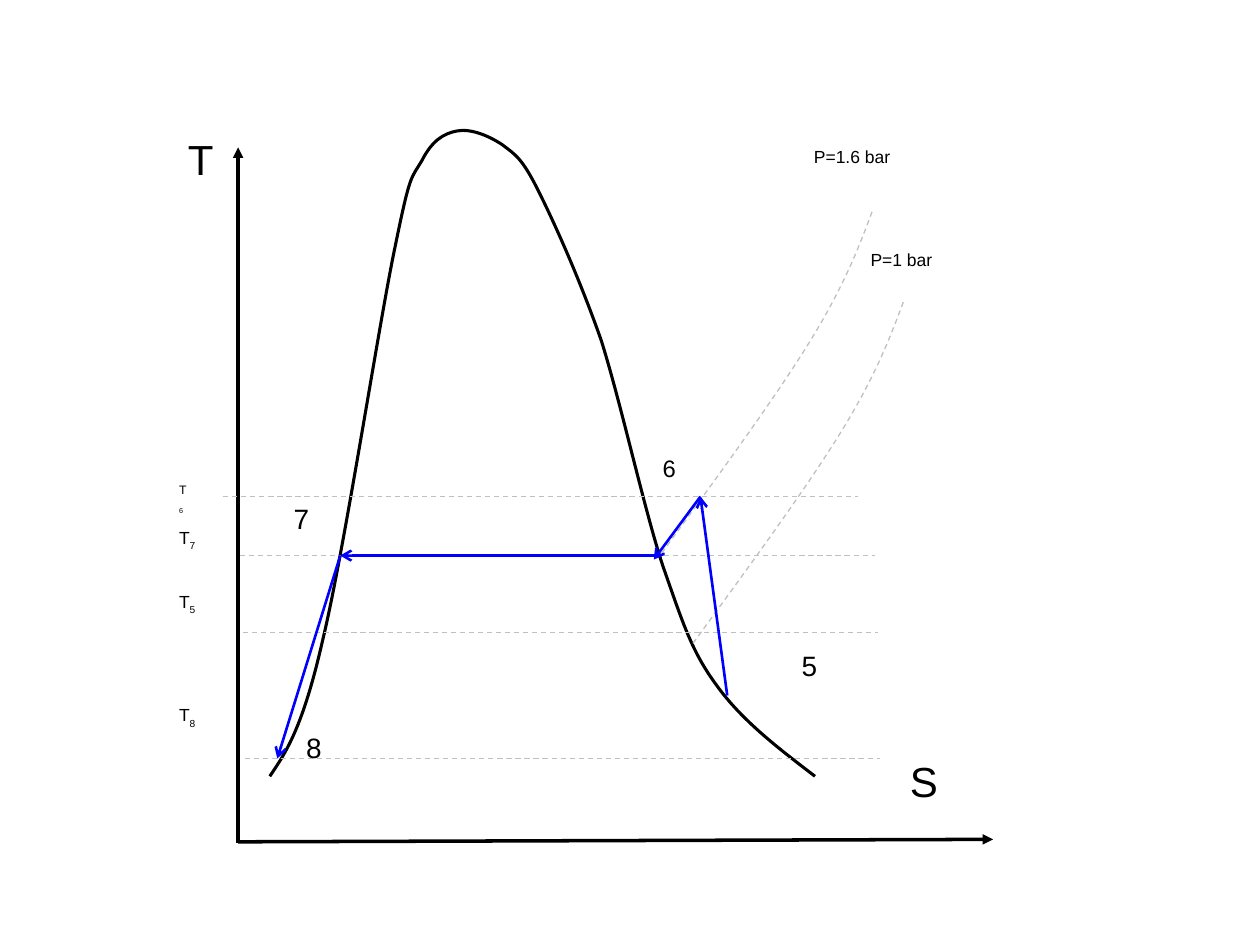
from dataclasses import dataclass

from lxml import etree
from pptx import Presentation
from pptx import util as u
from pptx.dml.color import RGBColor
from pptx.enum import dml, shapes, text
from pptx.oxml.ns import qn


@dataclass(frozen=True)
class Theme:
    font: str = "Arial"
    ink: str = "000000"
    guide: str = "C0C0C0"
    cycle: str = "0000FF"
    axis_size: float = 24
    state_size: float = 16
    small_state_size: float = 13.6
    note_size: float = 10
    tiny_size: float = 7
    axis_width: float = 2
    dome_width: float = 1.75
    cycle_width: float = 1.5
    guide_width: float = 0.75


@dataclass(frozen=True)
class Box:
    left: float
    top: float

    def point(self, x, y):
        return u.Cm(self.left + x), u.Cm(self.top + y)


THEME = Theme()
DOME = [
    (2.06, 13.07),
    (2.39, 12.58), (2.72, 12.10), (3.12, 10.35),
    (3.55, 8.57), (4.24, 4.07), (4.57, 2.47),
    (4.90, 0.85), (4.90, 1.05), (5.13, 0.65),
    (5.33, 0.26), (5.56, 0.11), (5.84, 0.06),
    (6.12, 0.01), (6.48, 0.16), (6.75, 0.34),
    (7.01, 0.54), (7.14, 0.60), (7.47, 1.26),
    (7.80, 1.92), (8.30, 3.03), (8.74, 4.28),
    (9.14, 5.55), (9.60, 7.66), (9.98, 8.82),
    (10.39, 9.99), (10.56, 10.55), (11.07, 11.24),
    (11.58, 11.95), (12.32, 12.51), (13.05, 13.07),
]
ISOBAR = [
    (14.20, 1.69),
    (13.92, 2.45), (13.61, 3.24), (12.90, 4.38),
    (12.19, 5.52), (11.07, 7.05), (9.96, 8.57),
]


def style_line(shape, color, width, dashed=False):
    shape.line.color.rgb = RGBColor.from_string(color)
    shape.line.width = u.Pt(width)
    if dashed:
        shape.line.dash_style = dml.MSO_LINE.DASH


def add_line(page, box, start, end, color, width, dashed=False, head=None):
    line = page.shapes.add_connector(
        shapes.MSO_CONNECTOR.STRAIGHT, *box.point(*start), *box.point(*end))
    style_line(line, color, width, dashed)
    if head:
        etree.SubElement(line.line._get_or_add_ln(), qn("a:tailEnd"), type=head)
    etree.SubElement(line._element.spPr, qn("a:effectLst"))


def add_curve(page, box, points, color, width, dashed=False):
    start, *rest = [box.point(*point) for point in points]
    builder = page.shapes.build_freeform(*start)
    builder.add_line_segments(rest, close=False)
    curve = builder.convert_to_shape()
    curve.shadow.inherit = False
    curve.fill.background()
    style_line(curve, color, width, dashed)
    segments = list(curve._element.iter(qn("a:lnTo")))
    for first in range(0, len(segments), 3):
        outline = segments[first].getparent()
        bend = etree.SubElement(outline, qn("a:cubicBezTo"))
        for segment in segments[first:first + 3]:
            bend.append(segment[0])
            outline.remove(segment)


def add_label(page, box, wording, place, extent, size, subscript="", centred=False):
    label = page.shapes.add_textbox(*box.point(*place), *map(u.Cm, extent))
    frame = label.text_frame
    frame.word_wrap = True
    frame.margin_left = frame.margin_right = u.Cm(0.2 if centred else 0.23)
    frame.margin_top = frame.margin_bottom = u.Cm(0.1)
    para = frame.paragraphs[0]
    para.text = wording
    if centred:
        para.alignment = text.PP_ALIGN.CENTER
    if subscript:
        span = para.add_run()
        span.text = subscript
        span.font._element.set("baseline", "-30000")
    for span in para.runs:
        span.font.name = THEME.font
        span.font.size = u.Pt(size)
        span.font.color.rgb = RGBColor.from_string(THEME.ink)


def draw_axes(page, box):
    add_line(page, box, (1.42, 14.39), (16.64, 14.34), THEME.ink, THEME.axis_width,
             head="triangle")
    add_line(page, box, (1.42, 14.41), (1.42, 0.39), THEME.ink, THEME.axis_width,
             head="triangle")
    for name, place in (("S", (14.58, 12.56)), ("T", (0, 0.01))):
        add_label(page, box, name, place, (1.33, 2.29), THEME.axis_size, centred=True)


def draw_temperatures(page, box):
    wide, narrow = (1.37, 2.97), (0.64, 0.76)
    levels = [
        ("6", 1.12, 7.43, 7.05, narrow, THEME.tiny_size),
        ("7", 1.45, 8.62, 7.94, wide, THEME.note_size),
        ("5", 1.52, 10.17, 9.23, wide, THEME.note_size),
        ("8", 1.55, 12.71, 11.52, wide, THEME.note_size),
    ]
    for state, left, level, label_top, extent, size in levels:
        add_line(page, box, (left, level), (left + 12.8, level),
                 THEME.guide, THEME.guide_width, dashed=True)
        add_label(page, box, "T", (0, label_top), extent, size, subscript=state)


def draw_isobars(page, box):
    isobars = [
        ("P=1.6 bar", (12.80, 0.26), (0, 0)),
        ("P=1 bar", (13.94, 2.35), (0.63, 1.82)),
    ]
    for name, place, (across, down) in isobars:
        points = [(x + across, y + down) for x, y in ISOBAR]
        add_curve(page, box, points, THEME.guide, THEME.guide_width, dashed=True)
        add_label(page, box, name, place, (3.4, 1.65), THEME.note_size)


def draw_cycle(page, box):
    steps = [
        ((11.28, 11.44), (10.74, 7.43)),
        ((10.74, 7.43), (9.80, 8.70)),
        ((9.88, 8.62), (3.48, 8.62)),
        ((3.48, 8.62), (2.21, 12.71)),
    ]
    for start, end in steps:
        add_line(page, box, start, end, THEME.cycle, THEME.cycle_width, head="arrow")
    states = [
        ("5", (12.55, 10.40), (1.04, 1.65), THEME.state_size),
        ("6", (9.75, 6.46), (0.53, 0.81), THEME.small_state_size),
        ("7", (2.31, 7.43), (1.04, 1.65), THEME.state_size),
        ("8", (2.56, 12.05), (1.04, 1.65), THEME.state_size),
    ]
    for state in states:
        add_label(page, box, *state)


def draw_diagram(page, box):
    add_curve(page, box, DOME, THEME.ink, THEME.dome_width)
    for draw_part in (draw_axes, draw_temperatures, draw_isobars, draw_cycle):
        draw_part(page, box)


def main():
    deck = Presentation()
    deck.slide_width, deck.slide_height = u.Cm(25.4), u.Cm(19.05)
    page = deck.slides.add_slide(deck.slide_layouts[6])
    draw_diagram(page, Box(3.38, 2.58))
    deck.save("out.pptx")


if __name__ == "__main__":
    main()
